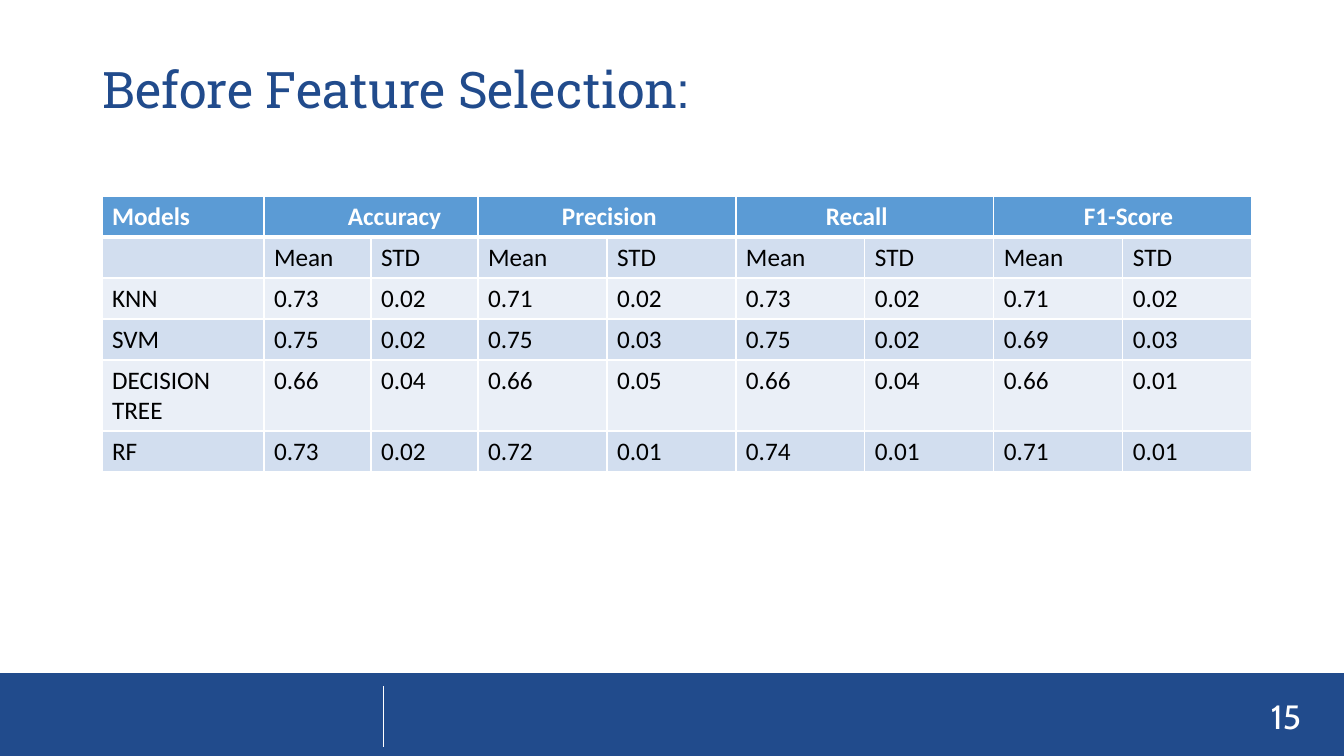
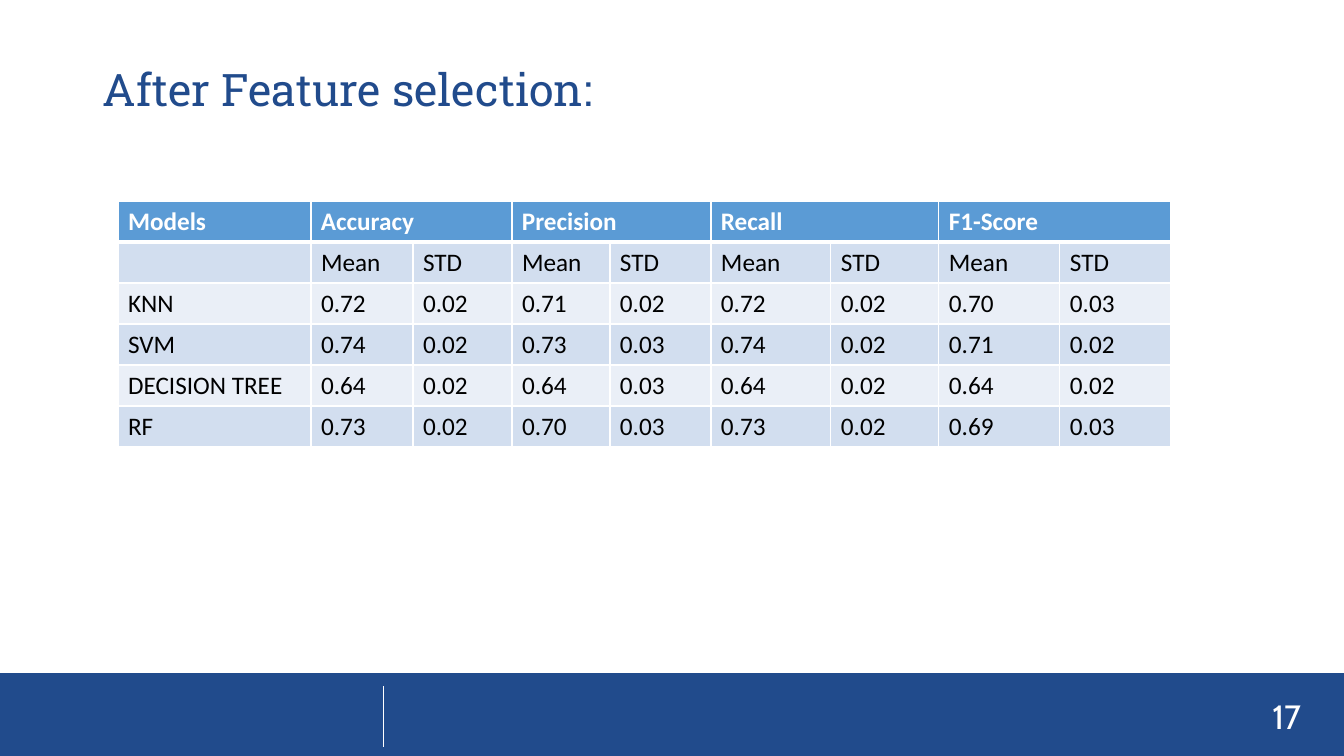
from lxml import etree
from pptx import Presentation, util as u
from pptx.dml.color import RGBColor
from pptx.enum import shapes, text
from pptx.oxml.ns import qn

SCALE = 914400 / 100.8
WIDTH, HEIGHT = 1344, 756
NAVY, WHITE, BLACK = "214B8C", "FFFFFF", "000000"
HEADER_FILL, BAND_FILLS = "5B9BD5", ("EAEFF7", "D2DEEF")
BAND_TOP = 673
TITLE_BOX = (93, 40, 1159, 104)
NUMBER_BOX = (1143, 696, 168, 40)
DIVIDER = (383, 686, 383, 747)

NUMBER_FONT = {"name": "Cabin", "size": u.Pt(24)}
HEADER_FONT = {"name": "Calibri", "size": u.Pt(18), "bold": True}
BODY_FONT = {**HEADER_FONT, "bold": False}

MEASURES = ("Accuracy", "Precision", "Recall", "F1-Score")
MODELS = ("KNN", "SVM", "DECISION TREE", "RF")

SLIDES = [
    {
        "title": "Before Feature Selection:",
        "title_size": 36,
        "number": "15",
        "origin": (102, 196),
        "columns": [162] + [107] * 2 + [129] * 6,
        "rows": [41, 41, 41, 41, 71, 41],
        "header_margins": (84, 84, 90, 90),
        "scores": [
            ("0.73", "0.02", "0.71", "0.02", "0.73", "0.02", "0.71", "0.02"),
            ("0.75", "0.02", "0.75", "0.03", "0.75", "0.02", "0.69", "0.03"),
            ("0.66", "0.04", "0.66", "0.05", "0.66", "0.04", "0.66", "0.01"),
            ("0.73", "0.02", "0.72", "0.01", "0.74", "0.01", "0.71", "0.01"),
        ],
    },
    {
        "title": "After Feature selection:",
        "title_size": 32,
        "number": "17",
        "origin": (118, 201),
        "columns": [193, 102, 99, 98, 101, 120, 108, 121, 111],
        "rows": [41] * 6,
        "header_margins": (10, 10, 10, 10),
        "scores": [
            ("0.72", "0.02", "0.71", "0.02", "0.72", "0.02", "0.70", "0.03"),
            ("0.74", "0.02", "0.73", "0.03", "0.74", "0.02", "0.71", "0.02"),
            ("0.64", "0.02", "0.64", "0.03", "0.64", "0.02", "0.64", "0.02"),
            ("0.73", "0.02", "0.70", "0.03", "0.73", "0.02", "0.69", "0.03"),
        ],
    },
]


def px(*lengths):
    return [u.Emu(round(length * SCALE)) for length in lengths]


def rgb(value):
    return RGBColor.from_string(value)


def write(frame, content, font, color, **layout):
    paragraph = frame.paragraphs[0]
    for name, value in layout.items():
        setattr(paragraph, name, value)
    run = paragraph.add_run()
    run.text = content
    for name, value in font.items():
        setattr(run.font, name, value)
    run.font.color.rgb = rgb(color)


def add_text(slide, box, content, font, color, **layout):
    frame = slide.shapes.add_textbox(*px(*box)).text_frame
    frame.word_wrap = True
    frame.vertical_anchor = text.MSO_ANCHOR.MIDDLE
    write(frame, content, font, color, **layout)


def add_frame(slide, data):
    band = slide.shapes.add_shape(
        shapes.MSO_SHAPE.RECTANGLE, *px(0, BAND_TOP, WIDTH, HEIGHT - BAND_TOP))
    band.shadow.inherit = False
    band.fill.solid()
    band.fill.fore_color.rgb = rgb(NAVY)
    band.line.fill.background()

    divider = slide.shapes.add_connector(shapes.MSO_CONNECTOR.STRAIGHT, *px(*DIVIDER))
    divider.line.color.rgb = rgb(WHITE)
    divider.line.width = u.Pt(0.5)
    etree.SubElement(divider._element.spPr, qn("a:effectLst"))

    title_font = {"name": "Roboto Slab", "size": u.Pt(data["title_size"])}
    add_text(slide, TITLE_BOX, data["title"], title_font, NAVY, line_spacing=0.9)
    add_text(slide, NUMBER_BOX, data["number"], NUMBER_FONT, WHITE,
             alignment=text.PP_ALIGN.RIGHT)


def set_borders(cell, row):
    properties = cell._tc.get_or_add_tcPr()
    widths = {"L": 1, "R": 1, "T": 3 if row == 1 else 1, "B": 3 if row == 0 else 1}
    for side, width in widths.items():
        line = etree.SubElement(properties, qn(f"a:ln{side}"), w=str(u.Pt(width)))
        fill = etree.SubElement(line, qn("a:solidFill"))
        etree.SubElement(fill, qn("a:srgbClr"), val=WHITE)


def add_scores(slide, data):
    header = ["Models"]
    for measure in MEASURES:
        header += [measure, ""]
    grid = [header, [""] + ["Mean", "STD"] * len(MEASURES)]
    grid += [[model, *scores] for model, scores in zip(MODELS, data["scores"])]

    columns, rows = data["columns"], data["rows"]
    table = slide.shapes.add_table(
        len(rows), len(columns),
        *px(*data["origin"], sum(columns), sum(rows))).table
    table.horz_banding = False
    for column, width in zip(table.columns, px(*columns)):
        column.width = width
    for row, height in zip(table.rows, px(*rows)):
        row.height = height

    for row, values in enumerate(grid):
        font, color, fill = BODY_FONT, BLACK, BAND_FILLS[row % 2]
        if row == 0:
            font, color, fill = HEADER_FONT, WHITE, HEADER_FILL
        for column, value in enumerate(values):
            cell = table.cell(row, column)
            set_borders(cell, row)
            cell.fill.solid()
            cell.fill.fore_color.rgb = rgb(fill)
            if value:
                write(cell.text_frame, value, font, color)

    for index, margin in enumerate(px(*data["header_margins"])):
        column = 1 + 2 * index
        cell = table.cell(0, column)
        cell.margin_left = margin
        cell.merge(table.cell(0, column + 1))


def main():
    presentation = Presentation()
    presentation.slide_width, presentation.slide_height = px(WIDTH, HEIGHT)
    for data in SLIDES:
        slide = presentation.slides.add_slide(presentation.slide_layouts[6])
        add_frame(slide, data)
        add_scores(slide, data)
    presentation.save("out.pptx")


if __name__ == "__main__":
    main()
